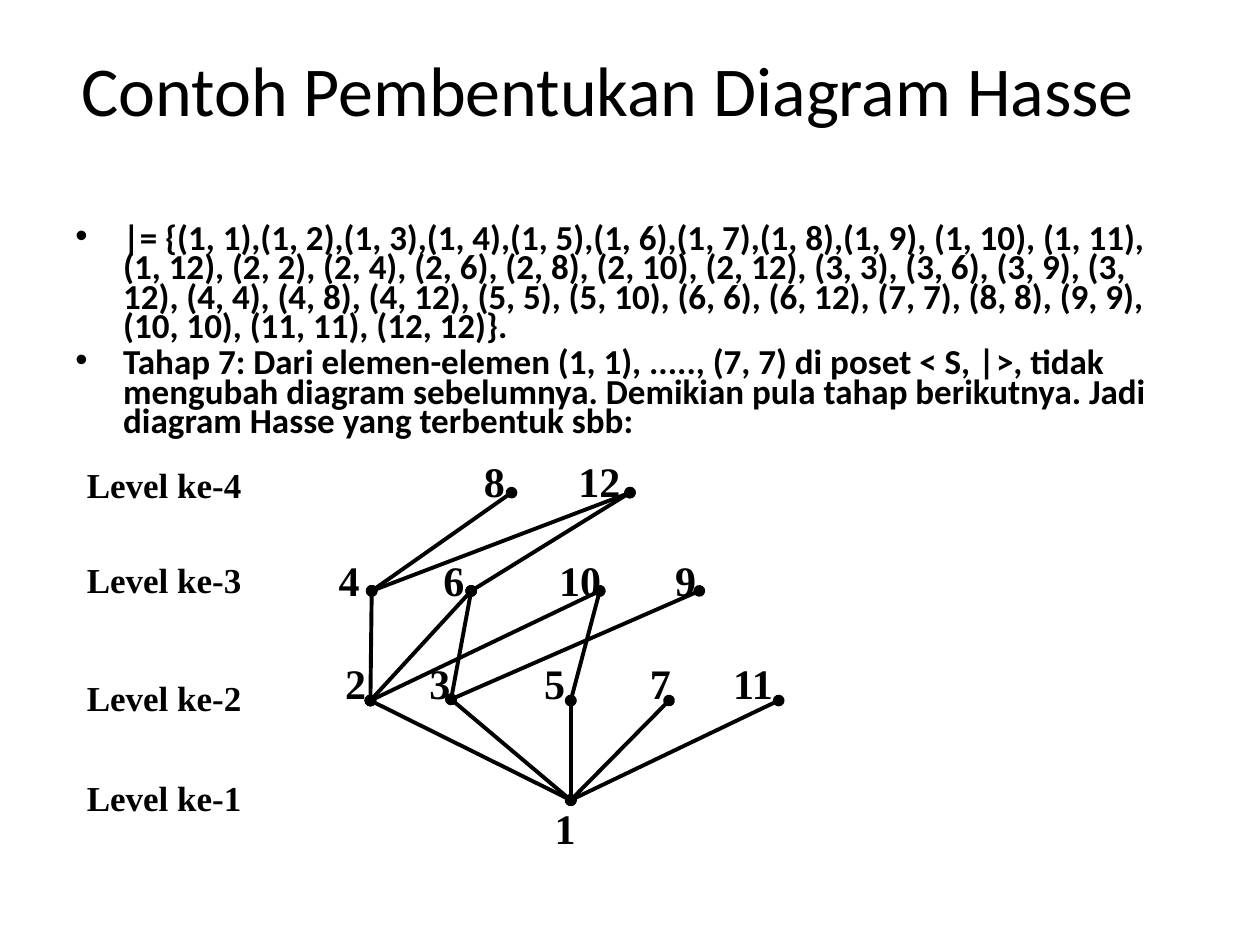
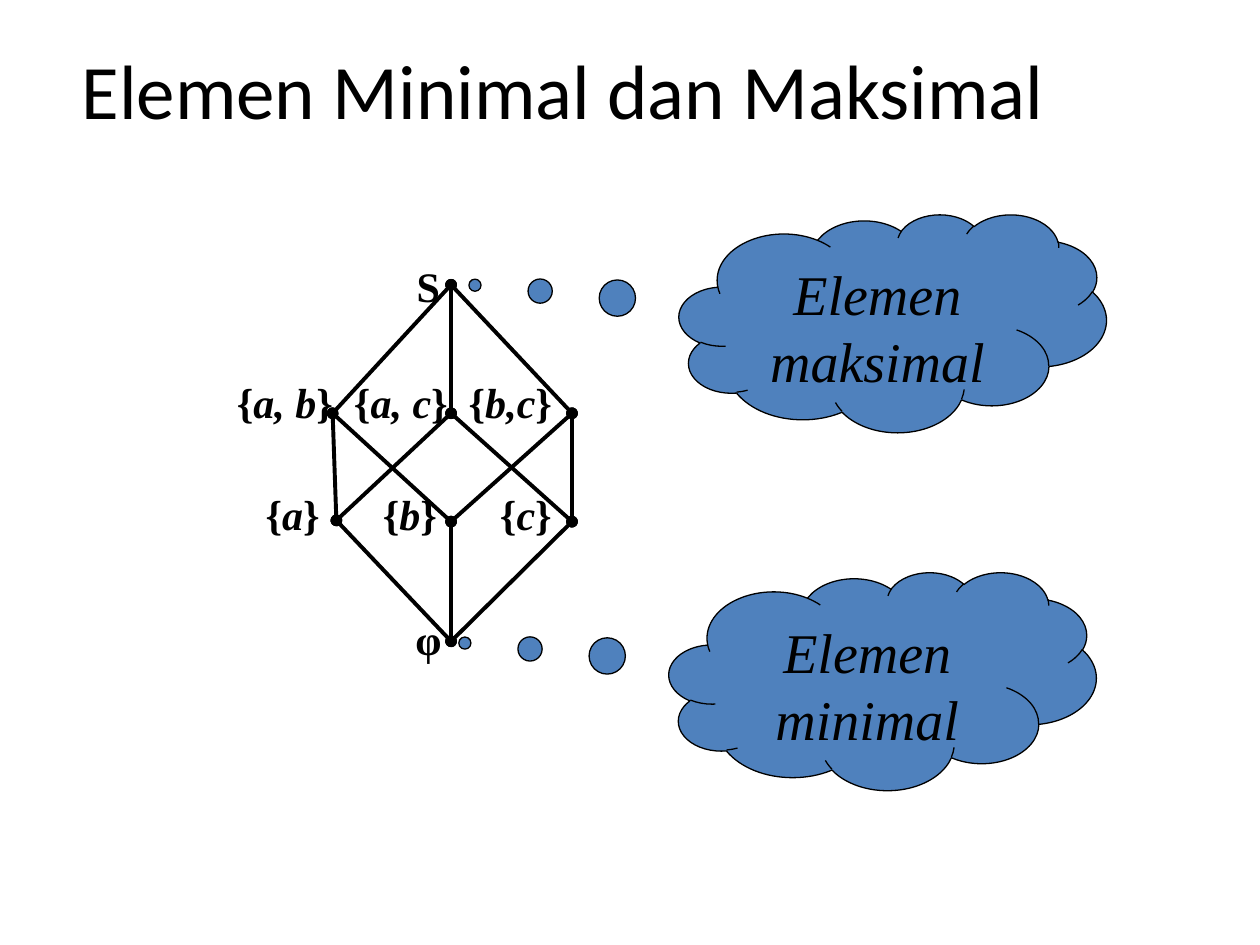
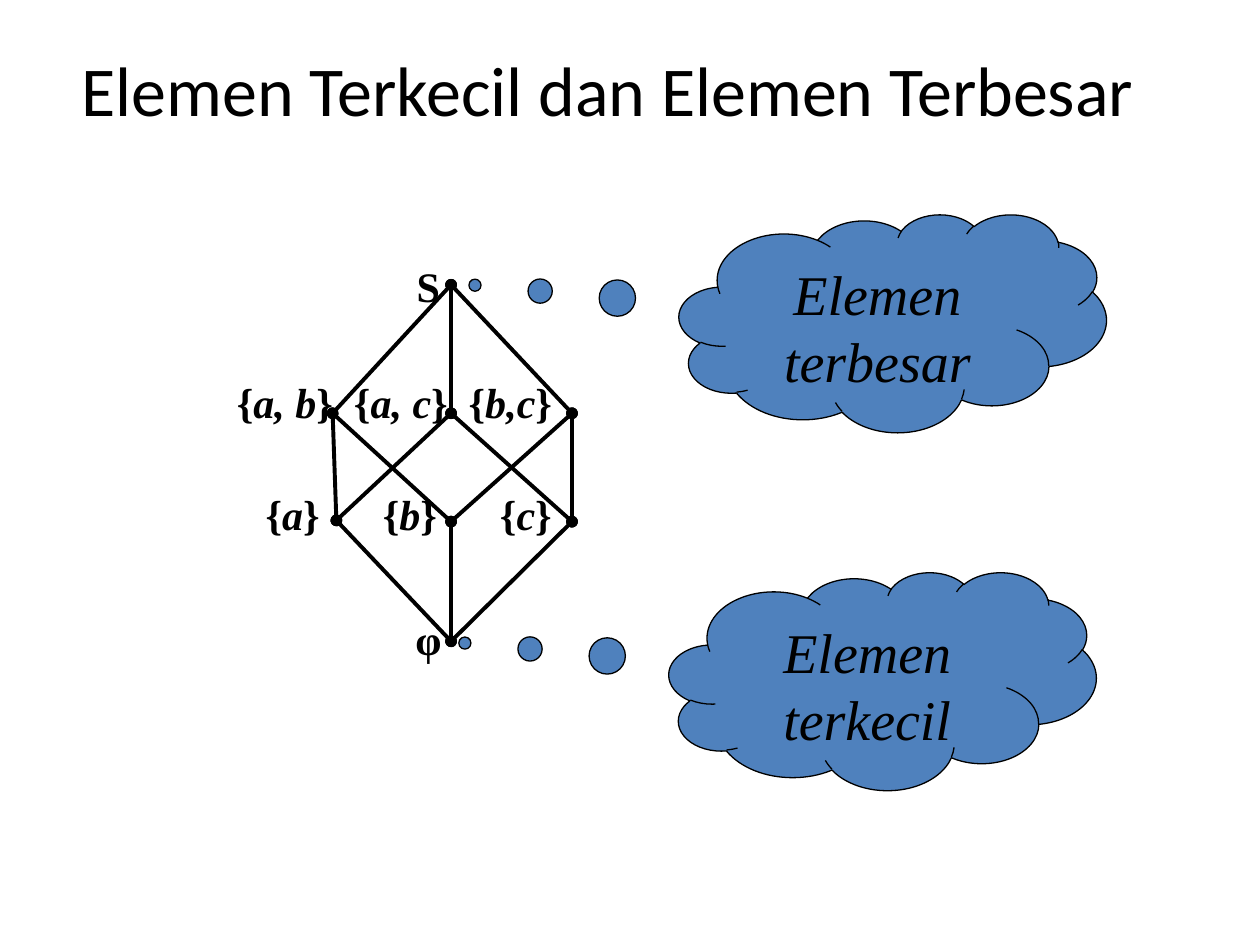
from dataclasses import dataclass

from lxml import etree
from pptx import Presentation
from pptx import util as u
from pptx.dml.color import RGBColor
from pptx.enum import shapes, text
from pptx.oxml.ns import qn


@dataclass(frozen=True)
class Theme:
    ink: RGBColor = RGBColor(0, 0, 0)
    cloud: RGBColor = RGBColor(0x4F, 0x81, 0xBD)
    sans: str = "Calibri"
    serif: str = "Times New Roman"
    title: int = 40
    large_title: int = 44
    body: int = 20
    node: int = 24
    callout: int = 32
    edge: float = 2.25
    outline: float = 0.75


class Deck:
    """Holds the theme and the current slide, and draws each kind of element."""

    def __init__(self, theme):
        self.theme = theme
        self.presentation = Presentation()
        self.presentation.slide_width = u.Inches(10)
        self.presentation.slide_height = u.Inches(7.5)
        self.slide = None

    def add_slide(self, title, size=None):
        theme = self.theme
        self.slide = self.presentation.slides.add_slide(self.presentation.slide_layouts[6])
        self.text_box((0.55, 0.08, 9, 1.25), [title], theme.sans, size or theme.title,
                      frame_format={"vertical_anchor": text.MSO_ANCHOR.MIDDLE})

    def add_runs(self, paragraph, content, **font_format):
        for index, piece in enumerate(content.split("*")):
            if not piece:
                continue
            run = paragraph.add_run()
            run.text = piece
            run.font.color.rgb = self.theme.ink
            for name, value in font_format.items():
                setattr(run.font, name, value)
            if index % 2:
                run.font.italic = True

    def text_box(self, place, lines, font, size, bold=False, tabs=(), bullet=False,
                 frame_format=None, paragraph_format=None):
        shape = self.slide.shapes.add_textbox(*map(u.Inches, place))
        frame = shape.text_frame
        for name, value in {"word_wrap": True, **(frame_format or {})}.items():
            setattr(frame, name, value)
        for index, line in enumerate(lines):
            paragraph = frame.add_paragraph() if index else frame.paragraphs[0]
            if bullet:
                self.add_bullet(paragraph)
            if tabs:
                self.add_tabs(paragraph, tabs)
            for name, value in (paragraph_format or {}).items():
                setattr(paragraph, name, value)
            if index:
                paragraph.space_before = u.Pt(size * 0.2)
            self.add_runs(paragraph, line, name=font, size=u.Pt(size), bold=bold)

    def add_bullet(self, paragraph):
        properties = paragraph._p.get_or_add_pPr()
        properties.set("marL", str(u.Inches(0.38)))
        properties.set("indent", str(-u.Inches(0.38)))
        etree.SubElement(properties, qn("a:buFont"), typeface="Arial")
        etree.SubElement(properties, qn("a:buChar"), char="•")

    def add_tabs(self, paragraph, positions):
        tabs = etree.SubElement(paragraph._p.get_or_add_pPr(), qn("a:tabLst"))
        for position in positions:
            etree.SubElement(tabs, qn("a:tab"), pos=str(u.Inches(position)), algn="l")

    def label(self, left, top, width, content, size=None, tabs=(), centered=False, inset=0.1):
        size = size or self.theme.node
        alignment = text.PP_ALIGN.CENTER if centered else text.PP_ALIGN.LEFT
        height = 0.5 if size == self.theme.node else 0.43
        self.text_box((left, top, width, height), [content], self.theme.serif, size,
                      bold=True, tabs=tabs,
                      frame_format={"margin_left": u.Inches(inset),
                                    "auto_size": text.MSO_AUTO_SIZE.SHAPE_TO_FIT_TEXT},
                      paragraph_format={"alignment": alignment})

    def edge(self, start, end):
        connector = self.slide.shapes.add_connector(
            shapes.MSO_CONNECTOR.STRAIGHT, *map(u.Inches, (*start, *end)))
        connector.line.color.rgb = self.theme.ink
        connector.line.width = u.Pt(self.theme.edge)
        properties = connector.element.spPr
        line = properties.find(qn("a:ln"))
        for tag in ("a:headEnd", "a:tailEnd"):
            etree.SubElement(line, qn(tag), type="oval")
        etree.SubElement(properties, qn("a:effectLst"))

    def edges(self, nodes, links):
        for start, ends in links.items():
            for end in ends.split():
                self.edge(nodes[start], nodes[end])

    def cloud(self, left, top, content):
        shape = self.slide.shapes.add_shape(
            shapes.MSO_SHAPE.CLOUD_CALLOUT, *map(u.Inches, (left, top, 3.39, 1.73)))
        shape.shadow.inherit = False
        shape.adjustments[0], shape.adjustments[1] = -0.978, -0.174
        shape.fill.solid()
        shape.fill.fore_color.rgb = self.theme.cloud
        shape.line.color.rgb = self.theme.ink
        shape.line.width = u.Pt(self.theme.outline)
        frame = shape.text_frame
        for name, value in {"word_wrap": True, "margin_top": u.Inches(0.1),
                            "vertical_anchor": text.MSO_ANCHOR.TOP}.items():
            setattr(frame, name, value)
        paragraph = frame.paragraphs[0]
        paragraph.alignment = text.PP_ALIGN.CENTER
        self.add_runs(paragraph, content, name=self.theme.serif,
                      size=u.Pt(self.theme.callout), italic=True)


DIVISOR_RELATION = (
    "|= {(1, 1),(1, 2),(1, 3),(1, 4),(1, 5),(1, 6),(1, 7),(1, 8),(1, 9), (1, 10), (1, 11), "
    "(1, 12), (2, 2), (2, 4), (2, 6), (2, 8), (2, 10), (2, 12), (3, 3), (3, 6), (3, 9), "
    "(3, 12), (4, 4), (4, 8), (4, 12), (5, 5), (5, 10), (6, 6), (6, 12), (7, 7), (8, 8), "
    "(9, 9), (10, 10), (11, 11), (12, 12)}.")
STAGE_SEVEN = (
    "Tahap 7: Dari elemen-elemen (1, 1), ....., (7, 7) di poset < S, *|*>, tidak mengubah "
    "diagram sebelumnya. Demikian pula tahap berikutnya. Jadi diagram Hasse yang terbentuk sbb:")
LEVEL_TOPS = {1: 6.11, 2: 5.32, 3: 4.38, 4: 3.63}
DIVISOR_NODES = {
    "1": (4.53, 6.35),
    "2": (2.94, 5.56), "3": (3.58, 5.55), "5": (4.53, 5.56), "7": (5.31, 5.56), "11": (6.18, 5.56),
    "4": (2.95, 4.69), "6": (3.74, 4.69), "10": (4.76, 4.69), "9": (5.55, 4.69),
    "8": (4.06, 3.91), "12": (5, 3.91),
}
DIVISOR_LINKS = {"1": "2 3 5 7 11", "2": "4 6 10", "3": "6 9", "4": "8 12", "5": "10", "6": "12"}
SUBSET_NODES = {
    "φ": (3.58, 5.09),
    "a": (2.67, 4.13), "b": (3.58, 4.14), "c": (4.54, 4.14),
    "ab": (2.64, 3.28), "ac": (3.58, 3.28), "bc": (4.54, 3.28),
    "S": (3.58, 2.26),
}
SUBSET_LINKS = {"φ": "a b c", "a": "ab ac", "b": "ab bc", "c": "ac bc",
                "ab": "S", "ac": "S", "bc": "S"}


def divisor_slide(deck):
    theme = deck.theme
    deck.add_slide("Contoh Pembentukan Diagram Hasse")
    deck.text_box((0.5, 1.75, 9, 2.02), [DIVISOR_RELATION, STAGE_SEVEN], theme.sans, theme.body,
                  bold=True, bullet=True, paragraph_format={"line_spacing": 0.7})
    for level, top in LEVEL_TOPS.items():
        deck.label(0.59, top, 1.81, f"Level ke-{level}", size=theme.body)
    deck.label(2.87, 6.32, 3.23, "1", centered=True)
    deck.label(2.64, 5.17, 6.22, "2\t3\t5\t7\t11", tabs=(0.67, 1.58, 2.42, 3.08))
    deck.label(2.59, 4.35, 4.07, "4\t6\t10\t9", tabs=(0.83, 1.75, 2.67))
    deck.label(3.57, 3.57, 2.68, "8\t12", tabs=(0.75,), inset=0.27)
    deck.edges(DIVISOR_NODES, DIVISOR_LINKS)


def subset_slide(deck, title, greatest, least, size=None):
    deck.add_slide(title, size)
    deck.label(2.01, 3.83, 2.84, "{*a*}\t{*b*}\t{*c*}", tabs=(0.93, 1.86))
    deck.label(2.56, 4.82, 1.68, "φ", centered=True)
    deck.label(1.61, 2.94, 3.47, "{*a, b*}\t{*a, c*}\t{*b,c*}", tabs=(0.93, 1.84), inset=0.27)
    deck.label(2.56, 2.02, 1.68, "S", centered=True)
    deck.edges(SUBSET_NODES, SUBSET_LINKS)
    deck.cloud(5.31, 4.54, least)
    deck.cloud(5.39, 1.7, greatest)


def main():
    deck = Deck(Theme())
    divisor_slide(deck)
    subset_slide(deck, "Elemen Minimal dan Maksimal", "Elemen maksimal", "Elemen minimal",
                 deck.theme.large_title)
    subset_slide(deck, "Elemen Terkecil dan Elemen Terbesar", "Elemen terbesar", "Elemen terkecil")
    deck.presentation.save("out.pptx")


if __name__ == "__main__":
    main()
